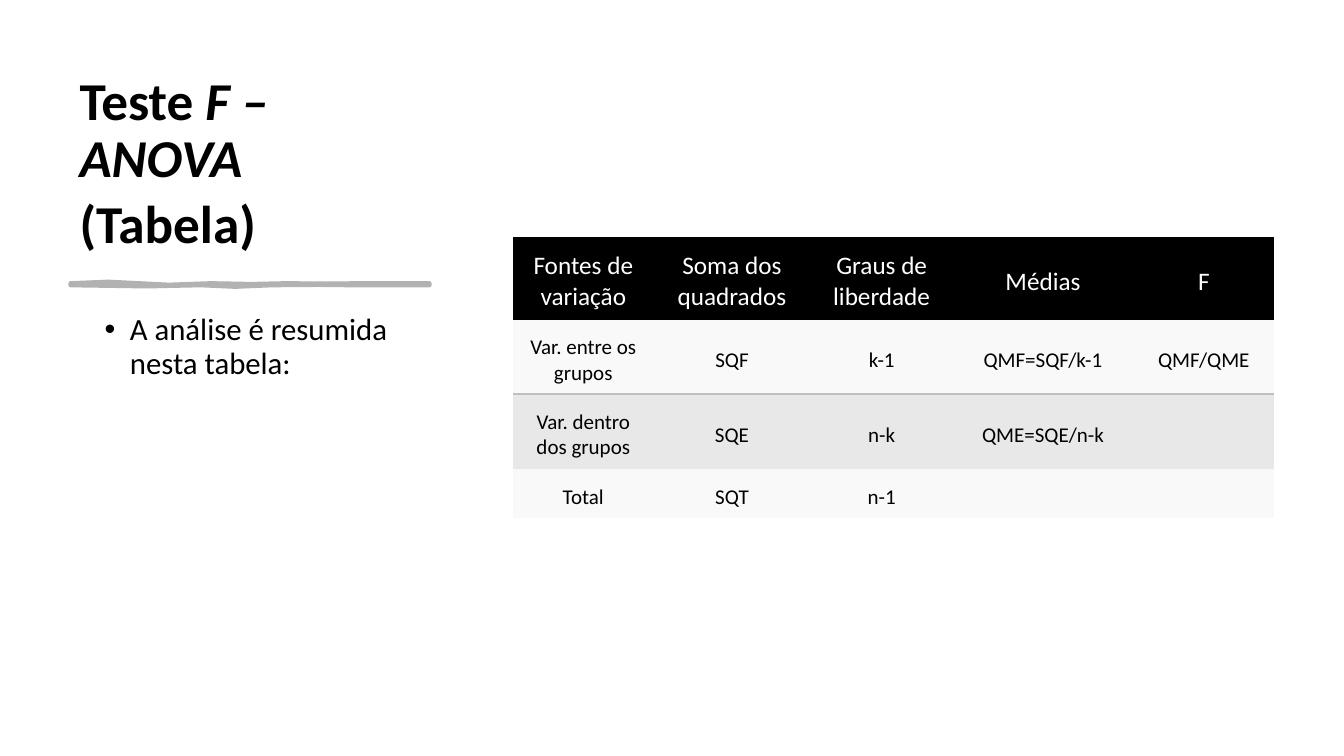
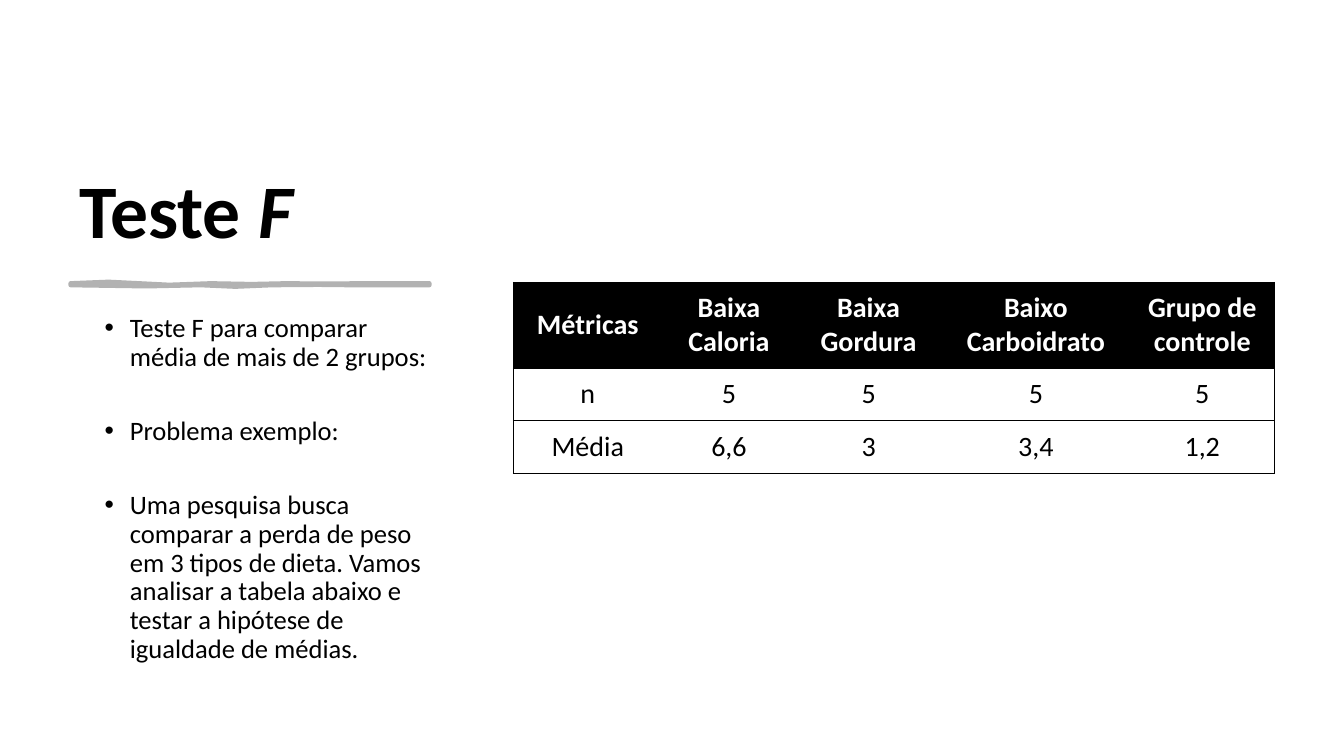
"""Build two ANOVA slides, each with a title, a brush rule, bullets and a table."""
from dataclasses import dataclass

from lxml.etree import SubElement
from pptx import Presentation
from pptx.dml.color import RGBColor
from pptx.enum.text import MSO_ANCHOR as Anchor, PP_ALIGN as Align
from pptx.oxml.ns import qn
from pptx.util import Emu, Pt

PX = 9144
FONT = "Calibri"
NO_TABLE_STYLE = "{2D5ABB26-0587-4C30-8999-92F81FD0307C}"
COLORS = {
    "black": "000000",
    "white": "FFFFFF",
    "brush": "B2B2B2",
    "rule": "BFBFBF",
    "light": "F9F9F9",
    "band": "E8E8E8",
}
TITLE_BOX = (69, 70, 375, 188)
BODY_BOX = (69, 307, 375, 373)
BRUSH_START = (70, 281)
BRUSH_CURVES = (
    ((97, 279), (121, 279), (138, 281)),
    ((155, 284), (177, 282), (209, 281)),
    ((241, 281), (260, 283), (284, 281)),
    ((308, 280), (339, 283), (359, 281)),
    ((379, 280), (412, 282), (426, 281)),
    ((426, 282), (426, 283), (426, 283)),
    ((408, 284), (364, 282), (348, 283)),
    ((332, 285), (304, 280), (270, 283)),
    ((235, 286), (231, 284), (199, 283)),
    ((166, 283), (132, 286), (70, 283)),
)
CURVE_STEPS = 2


@dataclass(frozen=True)
class TableSpec:
    """Content and look of one table; rules lists the ruled row boundaries."""

    box: tuple[int, int, int, int]
    columns: tuple[int, ...]
    heights: tuple[int, ...]
    cells: tuple[tuple[str, ...], ...]
    fills: tuple[str, ...]
    margins: tuple[int, int, int, int]
    header_size: int
    body_size: int
    header_bold: bool
    rules: tuple[int, ...]
    rule_color: str
    rule_width: float
    framed: bool


@dataclass(frozen=True)
class SlideSpec:
    """Content of one slide; title runs pair a text with its italic flag."""

    title: tuple[tuple[tuple[str, bool], ...], ...]
    title_size: int
    bullets: tuple[str, ...]
    bullet_size: int
    bullet_gap: float
    table: TableSpec


SLIDES = (
    SlideSpec(
        title=((("Teste ", False), ("F – ANOVA", True)), (("(Tabela)", False),)),
        title_size=38,
        bullets=("A análise é resumida nesta tabela:",),
        bullet_size=22,
        bullet_gap=6,
        table=TableSpec(
            box=(509, 235, 755, 279),
            columns=(139, 156, 141, 179, 140),
            heights=(82, 74, 74, 49),
            cells=(
                ("Fontes de variação", "Soma dos quadrados", "Graus de liberdade", "Médias", "F"),
                ("Var. entre os grupos", "SQF", "k-1", "QMF=SQF/k-1", "QMF/QME"),
                ("Var. dentro dos grupos", "SQE", "n-k", "QME=SQE/n-k", ""),
                ("Total", "SQT", "n-1", "", ""),
            ),
            fills=("black", "light", "band", "light"),
            margins=(13, 13, 13, 6),
            header_size=18,
            body_size=15,
            header_bold=False,
            rules=(2,),
            rule_color="rule",
            rule_width=1,
            framed=False,
        ),
    ),
    SlideSpec(
        title=((("Teste ", False), ("F", True)),),
        title_size=54,
        bullets=(
            "Teste F para comparar média de mais de 2 grupos:",
            "Problema exemplo:",
            "Uma pesquisa busca comparar a perda de peso em 3 tipos de dieta. "
            "Vamos analisar a tabela abaixo e testar a hipótese de igualdade de médias.",
        ),
        bullet_size=19,
        bullet_gap=32.5,
        table=TableSpec(
            box=(509, 280, 755, 190),
            columns=(148, 132, 145, 187, 143),
            heights=(85, 52, 53),
            cells=(
                ("Métricas", "Baixa Caloria", "Baixa Gordura", "Baixo Carboidrato", "Grupo de controle"),
                ("n", "5", "5", "5", "5"),
                ("Média", "6,6", "3", "3,4", "1,2"),
            ),
            fills=("black", "white", "white"),
            margins=(14, 7, 14, 7),
            header_size=20,
            body_size=20,
            header_bold=True,
            rules=(0, 1, 2, 3),
            rule_color="black",
            rule_width=0.5,
            framed=True,
        ),
    ),
)


def px(value: float) -> Emu:
    """Turn px into EMU."""
    return Emu(round(value * PX))


def color(name: str) -> RGBColor:
    """Look up a named colour."""
    return RGBColor.from_string(COLORS[name])


def set_font(paragraph, size: int, color_name: str = "black", bold: bool = False) -> None:
    """Set the font of a whole paragraph."""
    font = paragraph.font
    font.name, font.size, font.bold = FONT, Pt(size), bold
    font.color.rgb = color(color_name)


def add_text_frame(slide, box: tuple[int, int, int, int], anchor: Anchor):
    """Add a wrapping text box and return its frame."""
    frame = slide.shapes.add_textbox(*map(px, box)).text_frame
    frame.word_wrap = True
    frame.vertical_anchor = anchor
    return frame


def next_paragraph(frame, index: int, gap: float):
    """Return the paragraph at an index with the shared spacing."""
    paragraph = frame.add_paragraph() if index else frame.paragraphs[0]
    paragraph.line_spacing = 0.9
    paragraph.space_after = Pt(gap)
    return paragraph


def add_title(slide, spec: SlideSpec) -> None:
    """Add the bold title with its italic parts."""
    frame = add_text_frame(slide, TITLE_BOX, Anchor.BOTTOM)
    for index, runs in enumerate(spec.title):
        paragraph = next_paragraph(frame, index, 6)
        set_font(paragraph, spec.title_size, bold=True)
        for text, italic in runs:
            run = paragraph.add_run()
            run.text = text
            run.font.italic = italic


def add_bullets(slide, spec: SlideSpec) -> None:
    """Add the bulleted text."""
    frame = add_text_frame(slide, BODY_BOX, Anchor.TOP)
    for index, text in enumerate(spec.bullets):
        paragraph = next_paragraph(frame, index, spec.bullet_gap)
        paragraph.text = text
        properties = paragraph._p.get_or_add_pPr()
        properties.set("marL", str(px(50)))
        properties.set("indent", str(px(-25)))
        SubElement(properties, qn("a:buFont"), typeface="Arial")
        SubElement(properties, qn("a:buChar"), char="•")
        set_font(paragraph, spec.bullet_size)


def brush_points() -> list[tuple[int, int]]:
    """Sample the cubic curves of the brush outline."""
    points, start = [], BRUSH_START
    for first, second, end in BRUSH_CURVES:
        for step in range(1, CURVE_STEPS + 1):
            t = step / CURVE_STEPS
            u = 1 - t
            weights = (u**3, 3 * u * u * t, 3 * u * t * t, t**3)
            controls = (start, first, second, end)
            x, y = (sum(w * c[axis] for w, c in zip(weights, controls)) for axis in (0, 1))
            points.append((px(x), px(y)))
        start = end
    return points


def add_brush(slide) -> None:
    """Add the grey brush rule under the title."""
    builder = slide.shapes.build_freeform(*map(px, BRUSH_START))
    builder.add_line_segments(brush_points(), close=True)
    shape = builder.convert_to_shape()
    shape.shadow.inherit = False
    shape.fill.solid()
    shape.fill.fore_color.rgb = color("brush")
    shape.line.color.rgb = color("brush")
    shape.line.width = Pt(3)


def add_borders(cell, spec: TableSpec, row: int, column: int) -> None:
    """Draw the ruled edges of a cell and clear the others."""
    edges = {
        "a:lnL": spec.framed and column == 0,
        "a:lnR": spec.framed and column == len(spec.columns) - 1,
        "a:lnT": row in spec.rules,
        "a:lnB": row + 1 in spec.rules,
    }
    properties = cell._tc.get_or_add_tcPr()
    for tag, drawn in edges.items():
        line = SubElement(properties, qn(tag), w=str(Pt(spec.rule_width)))
        fill = SubElement(line, qn("a:solidFill" if drawn else "a:noFill"))
        if drawn:
            SubElement(fill, qn("a:srgbClr"), val=COLORS[spec.rule_color])


def fill_cell(cell, spec: TableSpec, row: int, column: int) -> None:
    """Write and style one table cell."""
    header = row == 0
    cell.margin_left, cell.margin_top, cell.margin_right, cell.margin_bottom = map(px, spec.margins)
    cell.vertical_anchor = Anchor.MIDDLE
    add_borders(cell, spec, row, column)
    cell.fill.solid()
    cell.fill.fore_color.rgb = color(spec.fills[row])
    cell.text = spec.cells[row][column]
    paragraph = cell.text_frame.paragraphs[0]
    paragraph.alignment = Align.CENTER
    set_font(
        paragraph,
        spec.header_size if header else spec.body_size,
        "white" if header else "black",
        header and spec.header_bold,
    )


def add_data_table(slide, spec: TableSpec) -> None:
    """Add a table with its sizes, fills and rules."""
    shape = slide.shapes.add_table(len(spec.heights), len(spec.columns), *map(px, spec.box))
    shape.element.find(f".//{qn('a:tableStyleId')}").text = NO_TABLE_STYLE
    table = shape.table
    table.first_row = table.horz_banding = False
    for column, width in zip(table.columns, spec.columns):
        column.width = px(width)
    for row_index, height in enumerate(spec.heights):
        table.rows[row_index].height = px(height)
        for column_index in range(len(spec.columns)):
            fill_cell(table.cell(row_index, column_index), spec, row_index, column_index)


def main() -> None:
    """Build and save the presentation."""
    presentation = Presentation()
    presentation.slide_width, presentation.slide_height = px(1333), px(750)
    for spec in SLIDES:
        slide = presentation.slides.add_slide(presentation.slide_layouts[6])
        add_title(slide, spec)
        add_brush(slide)
        add_bullets(slide, spec)
        add_data_table(slide, spec.table)
    presentation.save("out.pptx")


if __name__ == "__main__":
    main()
